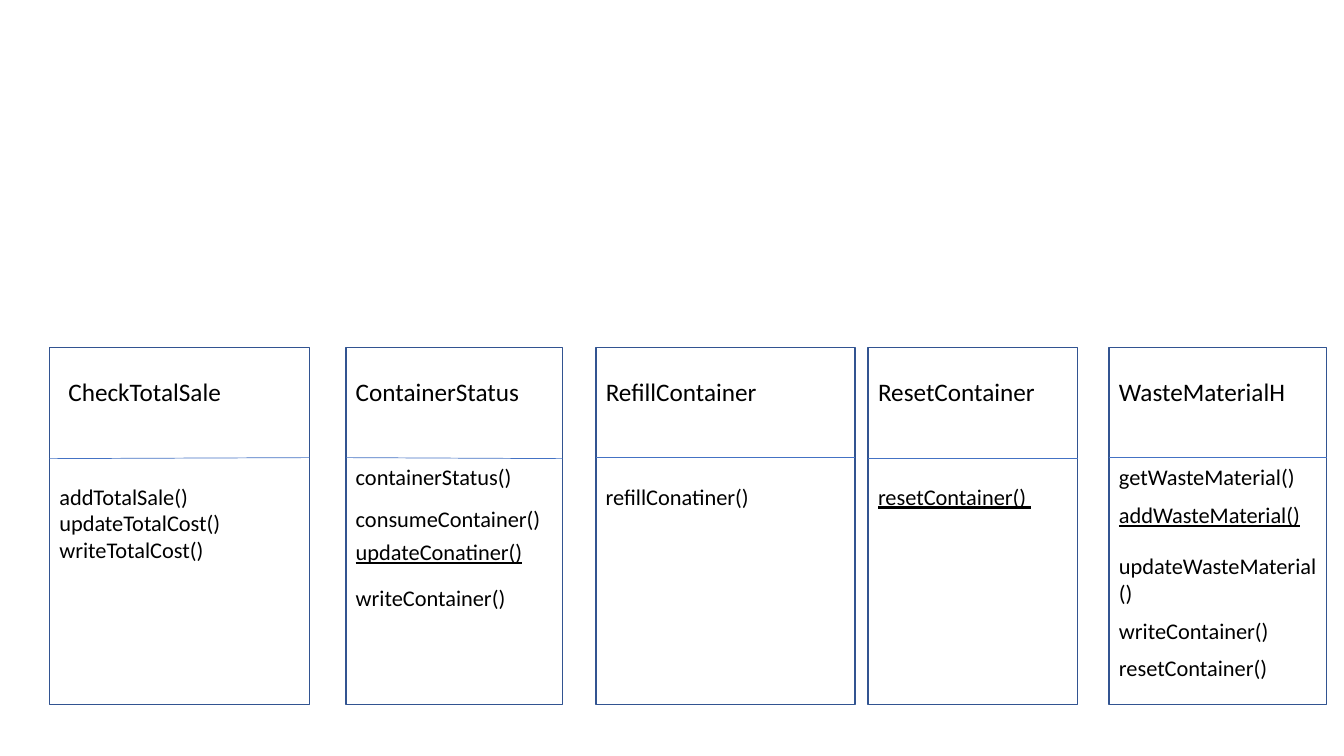
import pptx
import pptx.util
import pptx.dml.color
import pptx.enum.shapes
import pptx.enum.text
import pptx.oxml.ns
import lxml.etree

Inches = pptx.util.Inches
Pt = pptx.util.Pt
BLACK = pptx.dml.color.RGBColor(0x00, 0x00, 0x00)
BORDER = pptx.dml.color.RGBColor(0x32, 0x54, 0x91)
DIVIDER = pptx.dml.color.RGBColor(0x44, 0x72, 0xC4)

BOX_TOP = 3.45
BOX_HEIGHT = 3.54
NAME_TOP = 3.68

presentation = pptx.Presentation()
presentation.slide_width = Inches(13.33)
presentation.slide_height = Inches(7.5)
slide = presentation.slides.add_slide(presentation.slide_layouts[6])


def add_text(left, top, width, height, lines, size, underline=False):
    text_box = slide.shapes.add_textbox(
        Inches(left), Inches(top), Inches(width), Inches(height))
    frame = text_box.text_frame
    frame.word_wrap = True
    frame.auto_size = pptx.enum.text.MSO_AUTO_SIZE.SHAPE_TO_FIT_TEXT
    frame.text = lines
    for paragraph in frame.paragraphs:
        paragraph.font.name = "Calibri"
        paragraph.font.size = Pt(size)
        paragraph.font.color.rgb = BLACK
        if underline:
            paragraph.font.underline = True


# name, left, width, name left, name width, divider start, divider end, methods
classes = [
    ("CheckTotalSale", 0.49, 2.58, 0.58, 2.49, 4.55, 4.54, [
        ("addTotalSale()\nupdateTotalCost()\nwriteTotalCost()", 4.74, 0.94, False),
    ]),
    ("ContainerStatus", 3.43, 2.15, 3.43, 2.03, 4.54, 4.55, [
        ("containerStatus()", 4.55, 0.37, False),
        ("consumeContainer()", 4.96, 0.37, False),
        ("updateConatiner()", 5.29, 0.37, True),
        ("writeContainer()", 5.75, 0.37, False),
    ]),
    ("RefillContainer", 5.91, 2.57, 5.91, 2.42, 4.54, 4.54, [
        ("refillConatiner()", 4.74, 0.37, False),
    ]),
    ("ResetContainer", 8.61, 2.08, 8.61, 2.39, 4.55, 4.55, [
        ("resetContainer() ", 4.74, 0.37, True),
    ]),
    ("WasteMaterialH", 11, 2.16, 11, 2.16, 4.54, 4.54, [
        ("getWasteMaterial()", 4.55, 0.37, False),
        ("addWasteMaterial()", 4.92, 0.37, True),
        ("updateWasteMaterial()", 5.43, 0.64, False),
        ("writeContainer()", 6.07, 0.37, False),
        ("resetContainer()", 6.44, 0.37, False),
    ]),
]

for name, left, width, name_left, name_width, start, end, methods in classes:
    box = slide.shapes.add_shape(
        pptx.enum.shapes.MSO_SHAPE.RECTANGLE,
        Inches(left), Inches(BOX_TOP), Inches(width), Inches(BOX_HEIGHT))
    box.shadow.inherit = False
    box.fill.background()
    box.line.color.rgb = BORDER
    box.line.width = Pt(1)

    divider = slide.shapes.add_connector(
        pptx.enum.shapes.MSO_CONNECTOR.STRAIGHT,
        Inches(left), Inches(start), Inches(left + width), Inches(end))
    divider.line.color.rgb = DIVIDER
    divider.line.width = Pt(0.5)
    lxml.etree.SubElement(
        divider._element.spPr, pptx.oxml.ns.qn("a:effectLst"))

    add_text(name_left, NAME_TOP, name_width, 0.4, name, 18)
    for lines, top, height, underline in methods:
        add_text(left, top, width, height, lines, 16, underline)

presentation.save("out.pptx")
